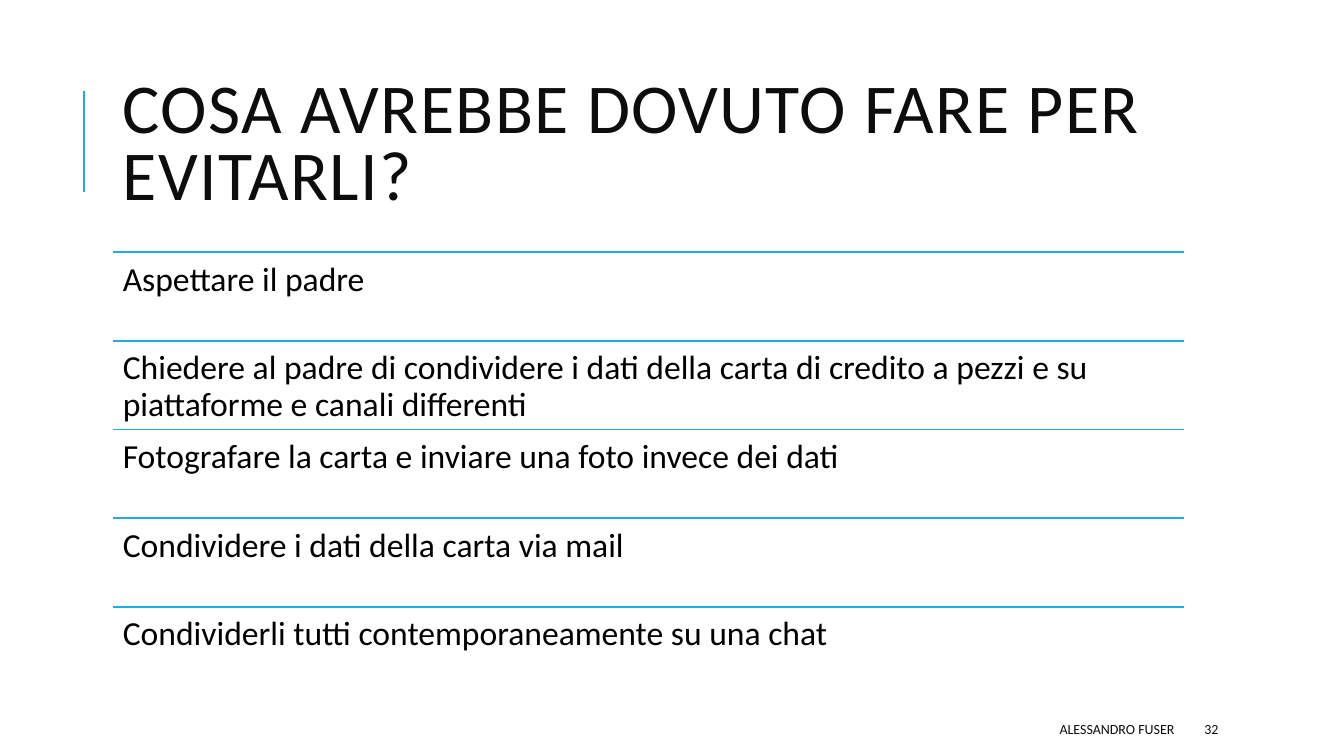
import pptx
import pptx.util
import pptx.dml.color
import pptx.enum.shapes
import pptx.enum.text
import pptx.oxml.ns
from lxml import etree

Pt = pptx.util.Pt
ALIGN = pptx.enum.text.PP_ALIGN
ANCHOR = pptx.enum.text.MSO_ANCHOR

TITLE = "COSA AVREBBE DOVUTO FARE PER EVITARLI?"
ANSWERS = [
    "Aspettare il padre",
    "Chiedere al padre di condividere i dati della carta di credito a pezzi e su piattaforme e canali differenti",
    "Fotografare la carta e inviare una foto invece dei dati",
    "Condividere i dati della carta via mail",
    "Condividerli tutti contemporaneamente su una chat",
]
FOOTERS = [
    ("ALESSANDRO FUSER", 381.6, 464.4, ALIGN.RIGHT),
    ("32", 853.2, 76.3, ALIGN.LEFT),
]
COLORS = {"accent": "1CADE4", "heading": "0D0D0D", "body": "000000"}
FONT = "Calibri"
LEFT, WIDTH = 80.64, 765.36
ROWS_TOP, ROW_HEIGHT = 180, 63.36


def rgb(name):
    return pptx.dml.color.RGBColor.from_string(COLORS[name])


def set_text(sp, text, size, color, frame, para):
    tf = sp.text_frame
    frame = {"word_wrap": True, "auto_size": pptx.enum.text.MSO_AUTO_SIZE.NONE, **frame}
    for key, value in frame.items():
        setattr(tf, key, value)
    p = tf.paragraphs[0]
    for key, value in para.items():
        setattr(p, key, value)
    r = p.add_run()
    r.text = text
    for key, value in {"name": FONT, "size": Pt(size), "bold": False}.items():
        setattr(r.font, key, value)
    r.font.color.rgb = rgb(color)
    return r


def add_text(slide, box, *args):
    sp = slide.shapes.add_textbox(*map(Pt, box))
    return set_text(sp, *args)


def add_line(slide, x1, y1, x2, y2, width):
    sp = slide.shapes.add_connector(
        pptx.enum.shapes.MSO_CONNECTOR.STRAIGHT, Pt(x1), Pt(y1), Pt(x2), Pt(y2))
    sp.line.color.rgb = rgb("accent")
    sp.line.width = Pt(width)
    etree.SubElement(sp._element.spPr, pptx.oxml.ns.qn("a:effectLst"))


def main():
    prs = pptx.Presentation()
    prs.slide_width, prs.slide_height = Pt(960), Pt(540)
    slide = prs.slides.add_slide(prs.slide_layouts[5])

    add_line(slide, 60, 136.8, 60, 64.8, 1.5)
    title = slide.shapes.title
    place = {"left": LEFT, "top": 46.08, "width": WIDTH, "height": 118.08}
    for key, value in place.items():
        setattr(title, key, Pt(value))
    r = set_text(title, TITLE, 50, "heading", {"vertical_anchor": ANCHOR.MIDDLE},
                 {"alignment": ALIGN.LEFT, "line_spacing": 0.8})
    r.font._element.set("spc", "100")

    insets = {"margin_" + side: Pt(7.2) for side in ("left", "top", "right", "bottom")}
    for i, answer in enumerate(ANSWERS):
        y = ROWS_TOP + i * ROW_HEIGHT
        add_line(slide, LEFT, y, LEFT + WIDTH, y, 1.25)
        add_text(slide, (LEFT, y, WIDTH, ROW_HEIGHT), answer, 24, "body",
                 {"vertical_anchor": ANCHOR.TOP, **insets}, {"line_spacing": 0.9})

    for text, x, width, align in FOOTERS:
        add_text(slide, (x, 509.76, width, 21.6), text, 10, "heading",
                 {"vertical_anchor": ANCHOR.MIDDLE}, {"alignment": align})

    prs.save("out.pptx")


if __name__ == "__main__":
    main()
